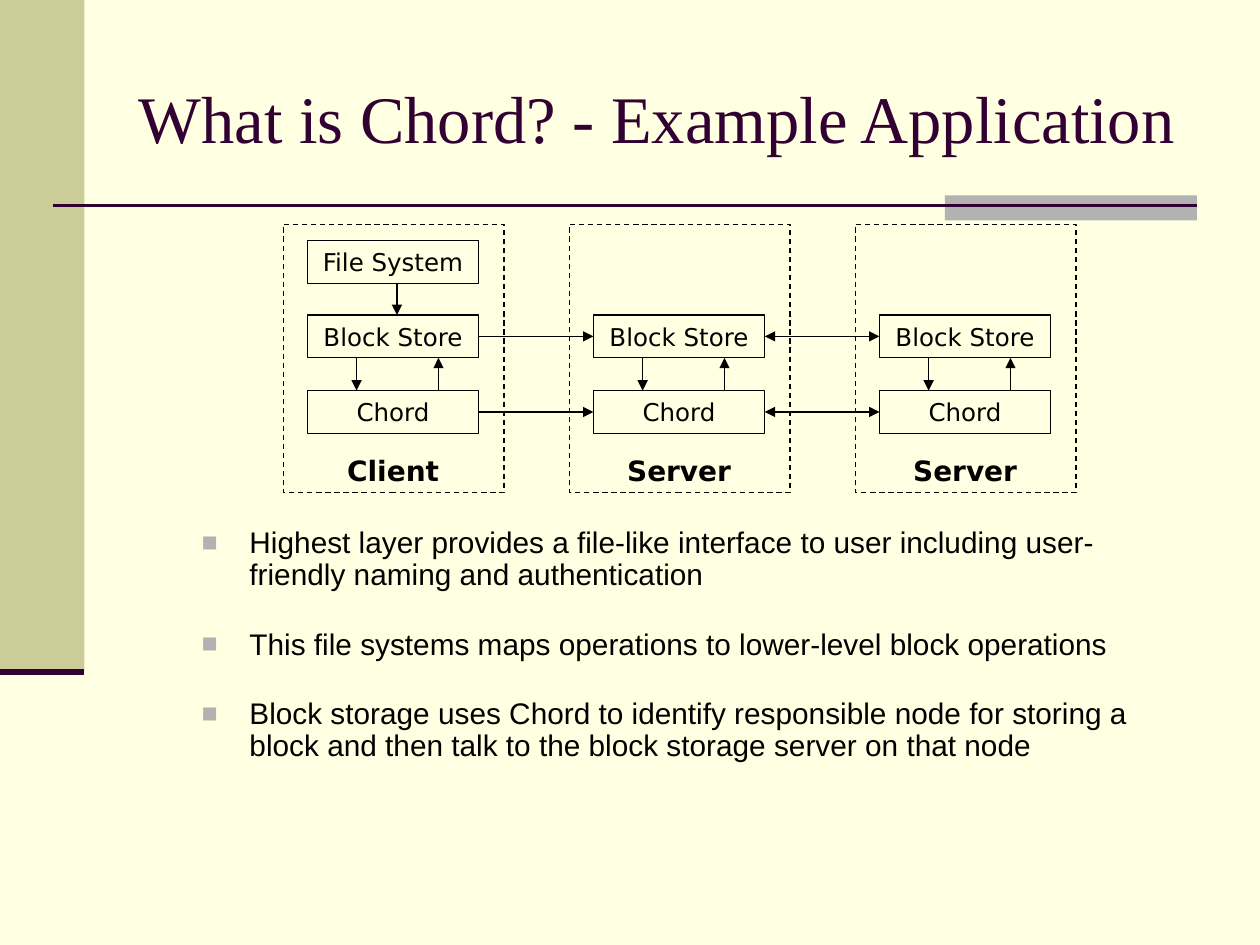
import dataclasses
import typing

import pptx
import pptx.dml.color
import pptx.enum.dml
import pptx.enum.shapes
import pptx.enum.text
import pptx.oxml.ns
import pptx.util
from lxml import etree

Inches = pptx.util.Inches
Pt = pptx.util.Pt
RGBColor = pptx.dml.color.RGBColor
ALIGN = pptx.enum.text.PP_ALIGN
MIDDLE = pptx.enum.text.MSO_ANCHOR.MIDDLE
TOP = pptx.enum.text.MSO_ANCHOR.TOP
RECT = pptx.enum.shapes.MSO_SHAPE.RECTANGLE
LINE = pptx.enum.shapes.MSO_CONNECTOR.STRAIGHT

CREAM = RGBColor(0xFF, 0xFF, 0xE1)
OLIVE = RGBColor(0xCC, 0xCC, 0x99)
GRAY = RGBColor(0xB2, 0xB2, 0xB2)
PLUM = RGBColor(0x33, 0x00, 0x33)
BLACK = RGBColor(0, 0, 0)

TITLE = {"name": "Times New Roman", "size": Pt(38)}
BODY = {"name": "Arial", "size": Pt(17)}
LAYER = {"name": "DejaVu Sans", "size": Pt(14)}
LABEL = {"name": "DejaVu Sans", "size": Pt(16), "bold": True}
SPACE = {"line_spacing": 0.9, "space_before": Pt(10.6), "space_after": Pt(10.6)}

# Grid of the diagram, in inches
LEFT, STEP = 2.44, 2.27
WIDE, HIGH = 1.36, 0.34
ROWS = {"File System": 1.91, "Block Store": 2.5, "Chord": 3.1}
DOWN, UP = 0.39, 1.04

POINTS = (
    "Highest layer provides a file-like interface to user including "
    "user-friendly naming and authentication",
    "This file systems maps operations to lower-level block operations",
    "Block storage uses Chord to identify responsible node for storing a "
    "block and then talk to the block storage server on that node",
)


@dataclasses.dataclass
class Node:
    name: str
    layers: tuple[str, ...]


NODES = (
    Node("Client", ("File System", "Block Store", "Chord")),
    Node("Server", ("Block Store", "Chord")),
    Node("Server", ("Block Store", "Chord")),
)


def apply(item: typing.Any, style: dict) -> None:
    for key, value in style.items():
        setattr(item, key, value)


def add_tag(parent: typing.Any, tag: str, **attrs: str) -> typing.Any:
    return etree.SubElement(parent, pptx.oxml.ns.qn(tag), attrs)


def write(shape: typing.Any, text: str, style: dict, color: RGBColor,
          align: typing.Any, wrap: bool) -> None:
    frame = shape.text_frame
    apply(frame, {"word_wrap": wrap, "vertical_anchor": MIDDLE,
                  "auto_size": pptx.enum.text.MSO_AUTO_SIZE.NONE})
    para = frame.paragraphs[0]
    para.alignment = align
    run = para.add_run()
    run.text = text
    apply(run.font, style)
    run.font.color.rgb = color


def place(shape: typing.Any, x: float, y: float, w: float, h: float) -> None:
    apply(shape, {"left": Inches(x), "top": Inches(y),
                  "width": Inches(w), "height": Inches(h)})


def add_rect(slide: typing.Any, x: float, y: float, w: float, h: float,
             fill: RGBColor | None = None) -> typing.Any:
    """Filled without a line, or outlined without a fill."""
    box = slide.shapes.add_shape(RECT, Inches(x), Inches(y), Inches(w), Inches(h))
    box.shadow.inherit = False
    if fill is not None:
        box.fill.solid()
        box.fill.fore_color.rgb = fill
        box.line.fill.background()
    else:
        box.fill.background()
        box.line.color.rgb = BLACK
        box.line.width = Pt(0.75)
    return box


def add_line(slide: typing.Any, x1: float, y1: float, x2: float, y2: float,
             color: RGBColor = BLACK, width: float = 0.75,
             ends: tuple[str, ...] = ()) -> typing.Any:
    line = slide.shapes.add_connector(
        LINE, Inches(x1), Inches(y1), Inches(x2), Inches(y2))
    line.line.color.rgb = color
    line.line.width = Pt(width)
    for end in ends:
        add_tag(line.line._get_or_add_ln(), end, type="triangle")
    add_tag(line._element.spPr, "a:effectLst")
    return line


def add_node(slide: typing.Any, node: Node, x: float) -> dict:
    """Draw one machine with its layers and return the layer boxes."""
    frame = add_rect(slide, x - 0.19, 1.78, 1.75, 2.13)
    frame.line.dash_style = pptx.enum.dml.MSO_LINE.DASH
    boxes = {}
    for name in node.layers:
        boxes[name] = add_rect(slide, x, ROWS[name], WIDE, HIGH)
        write(boxes[name], name, LAYER, BLACK, ALIGN.CENTER, False)
    label = slide.shapes.add_textbox(
        Inches(x), Inches(3.65), Inches(WIDE), Inches(0.17))
    write(label, node.name, LABEL, BLACK, ALIGN.CENTER, False)

    # Calls down and answers up between the layers
    store, chord = ROWS["Block Store"] + HIGH, ROWS["Chord"]
    add_line(slide, x + DOWN, store, x + DOWN, chord, ends=("a:tailEnd",))
    add_line(slide, x + UP, chord, x + UP, store, ends=("a:tailEnd",))
    return boxes


def add_points(body: typing.Any) -> None:
    frame = body.text_frame
    apply(frame, {"word_wrap": True, "vertical_anchor": TOP,
                  "auto_size": pptx.enum.text.MSO_AUTO_SIZE.NONE})
    for i, text in enumerate(POINTS):
        para = frame.add_paragraph() if i else frame.paragraphs[0]
        apply(para, SPACE)
        run = para.add_run()
        run.text = text
        apply(run.font, BODY)
        run.font.color.rgb = BLACK
        props = para._p.get_or_add_pPr()
        props.set("marL", str(Inches(0.38)))
        props.set("indent", str(Inches(-0.38)))
        add_tag(add_tag(props, "a:buClr"), "a:srgbClr", val=str(GRAY))
        add_tag(props, "a:buSzPct", val="90000")
        add_tag(props, "a:buFont", typeface="Arial")
        add_tag(props, "a:buChar", char="■")


def main() -> None:
    deck = pptx.Presentation()
    deck.slide_width, deck.slide_height = Inches(10), Inches(7.5)
    slide = deck.slides.add_slide(deck.slide_layouts[1])
    slide.background.fill.solid()
    slide.background.fill.fore_color.rgb = CREAM

    # Side band and title rule
    add_rect(slide, 0, 0, 0.67, 5.33, OLIVE)
    add_rect(slide, 7.5, 1.55, 2, 0.2, GRAY)
    add_line(slide, 0.42, 1.63, 9.5, 1.63, PLUM, 1.5)
    add_line(slide, 0, 5.33, 0.67, 5.33, PLUM, 3.5)

    # Title and list
    title, body = slide.shapes.title, slide.placeholders[1]
    place(title, 1, 0.3, 8.5, 1.25)
    write(title, "What is Chord? - Example Application", TITLE, PLUM,
          ALIGN.LEFT, True)
    place(body, 1.5, 4.14, 8, 2.64)
    add_points(body)

    # Machines
    stacks = [add_node(slide, node, LEFT + i * STEP)
              for i, node in enumerate(NODES)]
    add_line(slide, 3.15, ROWS["File System"] + HIGH, 3.15,
             ROWS["Block Store"], ends=("a:tailEnd",))

    # Links between neighbours: one way from the client, both ways after it
    for i, (near, far) in enumerate(zip(stacks, stacks[1:])):
        ends = ("a:headEnd", "a:tailEnd") if i else ("a:tailEnd",)
        for name in ("Block Store", "Chord"):
            link = add_line(slide, 0, 0, 1, 1, ends=ends)
            link.begin_connect(near[name], 3)
            link.end_connect(far[name], 1)

    deck.save("out.pptx")


if __name__ == "__main__":
    main()
